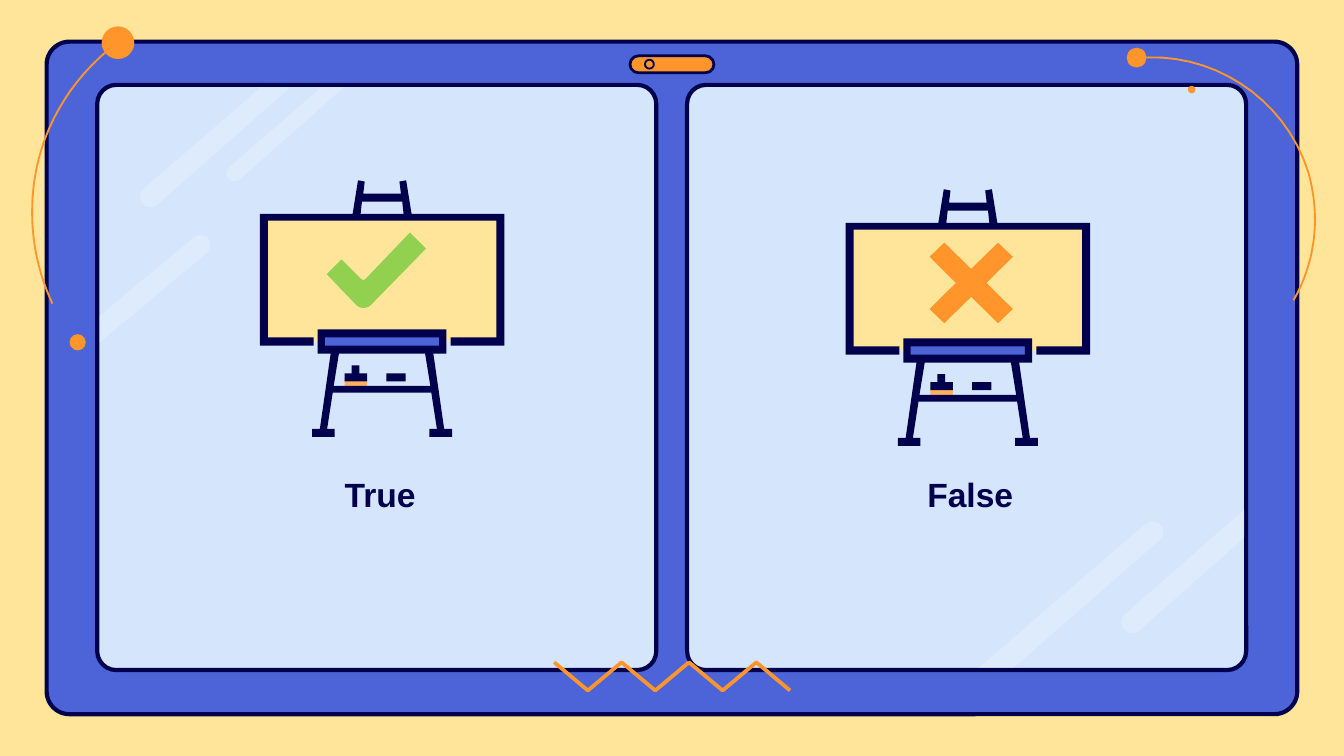
import math

from lxml import etree
from pptx import Presentation
from pptx.dml.color import RGBColor
from pptx.enum.shapes import MSO_SHAPE
from pptx.enum.text import MSO_ANCHOR, MSO_AUTO_SIZE, PP_ALIGN
from pptx.oxml.ns import qn
from pptx.util import Pt

ROUNDED = MSO_SHAPE.ROUNDED_RECTANGLE
RECTANGLE = MSO_SHAPE.RECTANGLE
OVAL = MSO_SHAPE.OVAL
CENTER = PP_ALIGN.CENTER
BOTTOM = MSO_ANCHOR.BOTTOM
NO_FIT = MSO_AUTO_SIZE.NONE

CREAM = RGBColor(0xFF, 0xE5, 0x99)
BLUE = RGBColor(0x4C, 0x64, 0xD8)
PALE = RGBColor(0xD5, 0xE6, 0xFC)
NAVY = RGBColor(0x00, 0x00, 0x4D)
ORANGE = RGBColor(0xFF, 0x95, 0x2B)
APRICOT = RGBColor(0xFF, 0xB0, 0x61)
GREEN = RGBColor(0x92, 0xD0, 0x50)
WHITE = RGBColor(0xFF, 0xFF, 0xFF)

EASEL_AXIS = 65.5


def mirrored(half, axis):
    return half + [(2 * axis - x, y) for x, y in reversed(half)]


def bezier(points, steps=16):
    curve = [points[0]]
    for first in range(0, len(points) - 1, 3):
        a, b, c, d = points[first:first + 4]
        for step in range(1, steps + 1):
            t = step / steps
            u = 1 - t
            curve.append(tuple(
                u**3 * a[i] + 3 * u * u * t * b[i] + 3 * u * t * t * c[i] + t**3 * d[i]
                for i in (0, 1)))
    return curve


def apply_format(target, values):
    for name, value in values.items():
        setattr(target, name, value)


class SlidePainter:
    heading_frame = {
        "word_wrap": True, "auto_size": NO_FIT, "vertical_anchor": BOTTOM,
        "margin_left": Pt(7.2), "margin_right": Pt(7.2),
        "margin_top": Pt(7.2), "margin_bottom": Pt(7.2),
    }
    heading_para = {"alignment": CENTER, "space_before": Pt(0),
                    "space_after": Pt(0), "line_spacing": 1.0}
    heading_font = {"name": "Arial", "size": Pt(18), "bold": True}

    def __init__(self, page):
        self.page = page

    def paint(self, shape, fill, line, weight, opacity=None):
        shape.shadow.inherit = False
        if fill is None:
            shape.fill.background()
        else:
            shape.fill.solid()
            shape.fill.fore_color.rgb = fill
        if opacity is not None:
            color = shape.element.spPr.find(qn("a:solidFill"))[0]
            etree.SubElement(color, qn("a:alpha")).set("val", str(opacity * 1000))
        if line is None:
            shape.line.fill.background()
        else:
            shape.line.color.rgb = line
            shape.line.width = Pt(weight)

    def preset(self, kind, left, top, width, height, fill, line=None, weight=2.25, corner=None):
        shape = self.page.shapes.add_shape(kind, Pt(left), Pt(top), Pt(width), Pt(height))
        if corner is not None:
            shape.adjustments[0] = corner
        self.paint(shape, fill, line, weight)

    def dot(self, x, y, size, fill, line=None, weight=1):
        self.preset(OVAL, x - size / 2, y - size / 2, size, size, fill, line, weight)

    def outline(self, contours, fill=None, line=None, weight=1,
                origin=(0, 0), opacity=None):
        placed = [[(Pt(x + origin[0]), Pt(y + origin[1])) for x, y in contour]
                  for contour in contours]
        closed = fill is not None
        builder = self.page.shapes.build_freeform(*placed[0][0])
        builder.add_line_segments(placed[0][1:], close=closed)
        for contour in placed[1:]:
            builder.move_to(*contour[0])
            builder.add_line_segments(contour[1:], close=closed)
        self.paint(builder.convert_to_shape(), fill, line, weight, opacity)

    def gleam(self, cap, radius, first_cut, second_cut):
        middle_x = (first_cut[0] + second_cut[0]) / 2
        middle_y = (first_cut[1] + second_cut[1]) / 2
        heading = math.atan2(cap[1] - middle_y, cap[0] - middle_x)
        angles = [heading + math.radians(turn) for turn in range(-90, 91, 15)]
        arc = [(cap[0] + radius * math.cos(a), cap[1] + radius * math.sin(a)) for a in angles]
        self.outline([arc + [first_cut, second_cut]], WHITE, opacity=20)

    def easel(self, left, top):
        def bar(x, y, width, height, fill):
            self.preset(RECTANGLE, left + x, top + y, width, height, fill)

        legs = [
            [(31, 79.9), (31, 92.9), (38, 92.9), (32.2, 133.2), (28, 133.2), (28, 137.5),
             (40.1, 137.5), (40.1, 133.2), (36.1, 133.2), (39.1, 113.8)],
            [(34.9, 84.2), (34.9, 88.6)],
            [(42.4, 92.9), (39.6, 110.2)],
        ]
        board = [
            [(55.4, 7.2), (56.2, 0.7), (52.6, 0), (49.7, 18), (0, 18), (0, 88.6),
             (28.8, 88.6), (28.8, 84.2), (4.3, 84.2), (4.3, 21.6)],
            [(54.7, 11.5), (54, 18)],
        ]
        bar(45.4, 105.8, 12.2, 6.5, APRICOT)
        bar(2.2, 20.2, 126.7, 66.2, CREAM)
        bar(33.1, 82.1, 65.3, 8.6, BLUE)
        for x, y, width, height in ((45.4, 103.4, 12.2, 4.3), (49.2, 99.1, 4.1, 6.5),
                                    (67.8, 103.4, 10.3, 4.3)):
            bar(x, y, width, height, NAVY)
        for halves in (legs, board):
            self.outline([mirrored(half, EASEL_AXIS) for half in halves], NAVY,
                         origin=(left, top))

    def heading(self, box, text, left, top, width, height):
        apply_format(box, {"left": Pt(left), "top": Pt(top),
                           "width": Pt(width), "height": Pt(height)})
        apply_format(box.text_frame, self.heading_frame)
        para = box.text_frame.paragraphs[0]
        apply_format(para, self.heading_para)
        span = para.add_run()
        span.text = text
        apply_format(span.font, self.heading_font)
        span.font.color.rgb = NAVY
        box.element.getparent().append(box.element)


def main():
    deck = Presentation()
    deck.slide_width, deck.slide_height = Pt(720), Pt(405)
    page = deck.slides.add_slide(deck.slide_layouts.get_by_name("Comparison"))
    page.background.fill.solid()
    page.background.fill.fore_color.rgb = CREAM
    true_box, false_box, *unused = list(page.placeholders)
    for box in unused:
        box.element.getparent().remove(box.element)
    painter = SlidePainter(page)

    painter.preset(ROUNDED, 25, 22.3, 670, 360.3, BLUE, NAVY, corner=0.034)
    for left in (52.1, 368.1):
        painter.preset(ROUNDED, left, 45.5, 299.5, 313.5, PALE, NAVY, corner=0.034)
    for cap, radius, first_cut, second_cut in (
        ((617.4, 285.1), 5.8, (542.9, 357.8), (524.2, 357.8)),
        ((606.6, 333.4), 5.8, (666.7, 272.9), (666.7, 288)),
        ((80.6, 105.5), 5.6, (139.7, 46.8), (155.5, 46.8)),
        ((125.6, 92.9), 4.3, (172.1, 46.8), (184.3, 46.8)),
        ((107.3, 131.4), 5.4, (53.3, 183.6), (53.3, 169.2)),
    ):
        painter.gleam(cap, radius, first_cut, second_cut)

    painter.preset(ROUNDED, 337.5, 29.9, 45, 9.1, ORANGE, NAVY, 1.5, 0.5)
    painter.dot(347.9, 34.4, 4.8, None, NAVY)
    for x, y, size in ((63.2, 22.9, 17.5), (41.6, 183.4, 8.7),
                       (608.9, 30.9, 10.6), (638.4, 48, 4)):
        painter.dot(x, y, size, ORANGE)
    for arc in (
        [(28.1, 162.7), (18.7, 142.6), (15.1, 120.2), (18.4, 96.8),
         (23, 64.8), (41.4, 37.8), (66.2, 20.5)],
        [(607.7, 31.3), (648, 26.6), (688, 51.5), (700.9, 92.2),
         (707.8, 116.6), (704.5, 140.8), (693, 160.9)],
    ):
        painter.outline([bezier(arc)], line=ORANGE)
    zigzag = [(296.9 + 18.05 * i, 369.9 if i % 2 else 354.8) for i in range(8)]
    painter.outline([zigzag], line=ORANGE, weight=2)

    painter.easel(453, 101.4)
    half_cross = [(0, -7.5), (14.4, -21.6), (22.3, -14), (8.2, 0),
                  (22.3, 14), (14.4, 21.6), (0, 7.5)]
    painter.outline([mirrored(half_cross, 0)], ORANGE, origin=(520.3, 151.6))
    painter.easel(139.2, 96.6)
    check = [(219.6, 124.6)]
    check += bezier([(195.8, 149.5), (195.2, 150.1), (194.1, 150.1), (193.5, 149.5)])
    check += [(182.9, 139), (175, 146.9)]
    check += bezier([(190.8, 163.4), (193, 165.5), (196.5, 165.5), (198.7, 163.4)])
    check += [(228.2, 133.2)]
    painter.outline([check], GREEN)

    for box, text, left in ((true_box, "True", 102.2), (false_box, "False", 418.3)):
        painter.heading(box, text, left, 249.8, 203, 33.1)
    deck.save("out.pptx")


if __name__ == "__main__":
    main()
